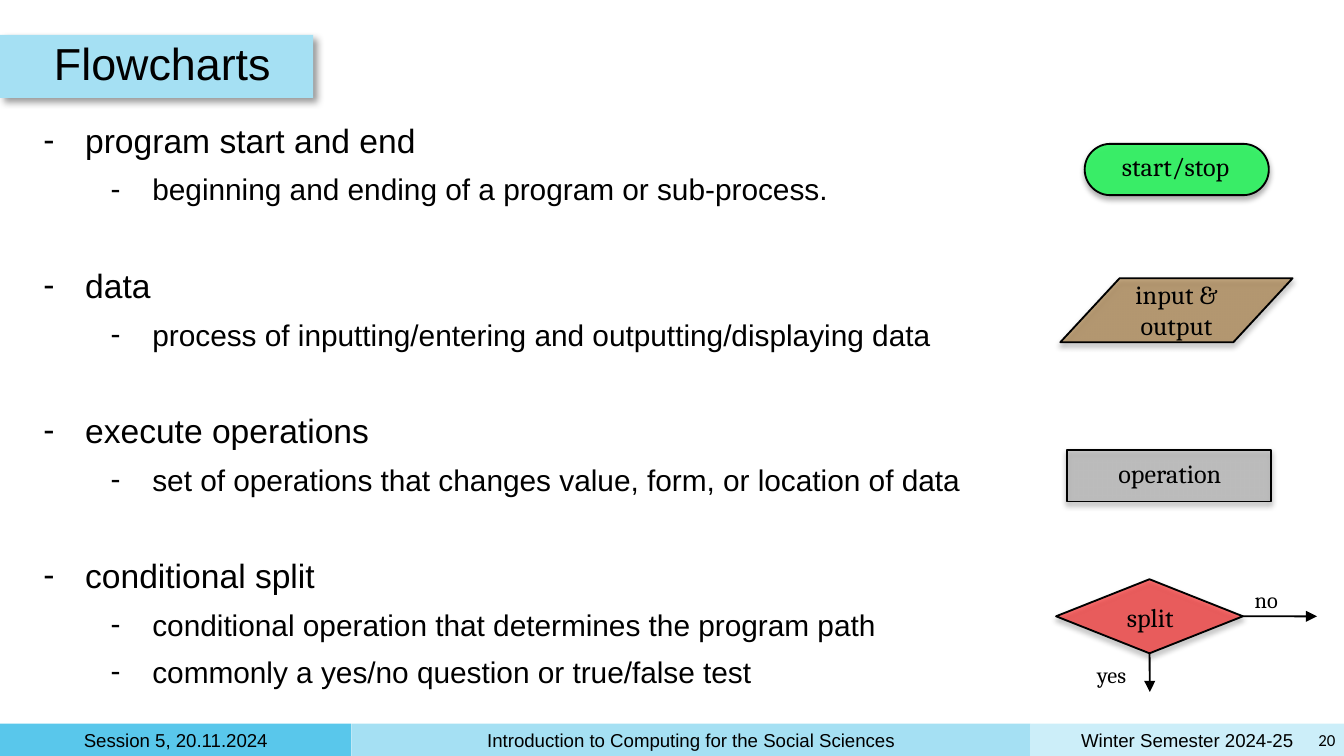
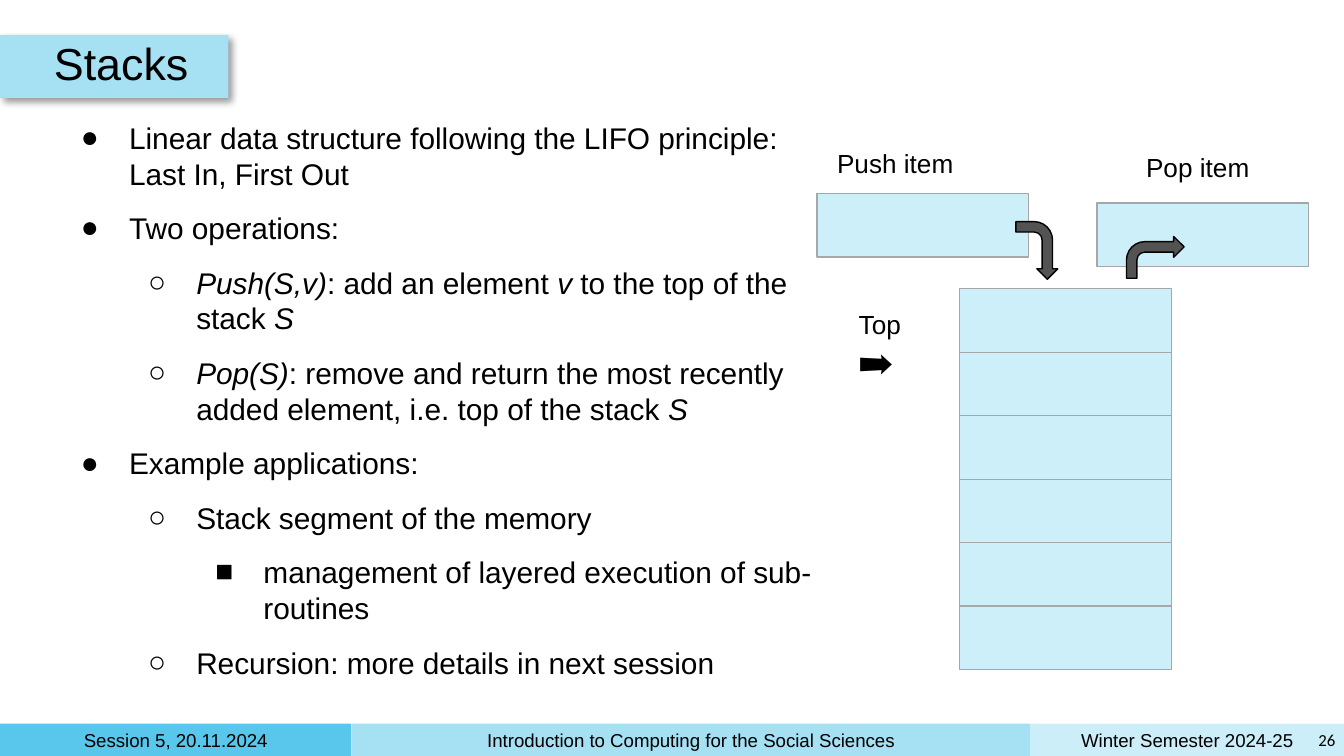
from collections import namedtuple

from lxml import etree
from pptx import Presentation
from pptx import util as u
from pptx.dml.color import RGBColor
from pptx.enum import shapes, text
from pptx.oxml import ns

Box = namedtuple("Box", "left top width height")
Shadow = namedtuple("Shadow", "alpha blur distance angle")

BLACK, DARK_BLUE, MID_BLUE, PALE_BLUE = "000000", "59C7EB", "A5E0F3", "CCEEF9"
CELL_FILL, CELL_LINE, ARROW_FILL = "CDEFF9", "A7A7A7", "535353"
BAND_SHADOW = Shadow(40, 4, 3, 45)
SYMBOL_SHADOW = Shadow(35, 3, 1.8, 90)
SLIDE_WIDTH, SLIDE_HEIGHT = 25.4, 14.29
LEFT, CENTER, RIGHT = text.PP_ALIGN.LEFT, text.PP_ALIGN.CENTER, text.PP_ALIGN.RIGHT
TOP, MIDDLE = text.MSO_ANCHOR.TOP, text.MSO_ANCHOR.MIDDLE
FORMS = shapes.MSO_SHAPE


def color(value):
    return RGBColor.from_string(value)


def lengths(box):
    return [u.Cm(value) for value in box]


def inside(region, left, top, width, height):
    return Box(region.left + left, region.top + top, width, height)


def add_xml(parent, tag, **attributes):
    return etree.SubElement(parent, ns.qn(tag), {key: str(value) for key, value in attributes.items()})


def set_font(font, size, name="Arial"):
    font.size = u.Pt(size)
    font.name = name
    font.color.rgb = color(BLACK)


def set_frame(frame, inset=0.13, anchor=TOP):
    frame.word_wrap = True
    frame.auto_size = text.MSO_AUTO_SIZE.NONE
    frame.vertical_anchor = anchor
    frame.margin_left = frame.margin_right = u.Cm(inset)
    frame.margin_top = frame.margin_bottom = u.Cm(inset)


def write(frame, words, size, name="Arial", align=CENTER, inset=0.13, anchor=TOP):
    set_frame(frame, inset, anchor)
    para = frame.paragraphs[0]
    para.text = words
    para.alignment = align
    set_font(para.font, size, name)
    return para


def add_label(page, box, words, size, **style):
    label = page.shapes.add_textbox(*lengths(box))
    return write(label.text_frame, words, size, **style)


def paint(shape, fill, line=None, line_width=1, alpha=100, shadow=None):
    shape.shadow.inherit = False
    shape.fill.solid()
    shape.fill.fore_color.rgb = color(fill)
    if alpha < 100:
        tint = shape.element.spPr.find(".//" + ns.qn("a:srgbClr"))
        add_xml(tint, "a:alpha", val=alpha * 1000)
    if line:
        shape.line.color.rgb = color(line)
        shape.line.width = u.Pt(line_width)
    else:
        shape.line.fill.background()
    if shadow:
        effects = shape.element.spPr.find(ns.qn("a:effectLst"))
        outer = add_xml(effects, "a:outerShdw", blurRad=int(u.Pt(shadow.blur)),
                        dist=int(u.Pt(shadow.distance)), dir=shadow.angle * 60000,
                        algn="bl", rotWithShape=0)
        add_xml(add_xml(outer, "a:srgbClr", val=BLACK), "a:alpha", val=shadow.alpha * 1000)
    return shape


def add_form(page, form, box, fill, **style):
    return paint(page.shapes.add_shape(form, *lengths(box)), fill, **style)


def add_footer(page, box, number):
    parts = [
        (0, 6.64, DARK_BLUE, "Session 5, 20.11.2024"),
        (6.64, 12.83, MID_BLUE, "Introduction to Computing for the Social Sciences"),
        (19.47, 5.93, PALE_BLUE, "Winter Semester 2024-25"),
    ]
    for left, width, fill, words in parts:
        part = add_form(page, FORMS.RECTANGLE, inside(box, left, 0, width, box.height), fill)
        write(part.text_frame, words, 10, anchor=MIDDLE)
    add_label(page, inside(box, 24.77, 0, 0.6, box.height), str(number), 9,
              name="Calibri", align=RIGHT, anchor=MIDDLE)


def add_title(page, box, words, band_width):
    add_form(page, FORMS.RECTANGLE, box._replace(width=band_width), MID_BLUE, shadow=BAND_SHADOW)
    title = page.shapes.title
    title.left, title.top, title.width, title.height = lengths(
        inside(box, 0.89, 0, 21.84, box.height))
    para = write(title.text_frame, words, 24, align=LEFT, anchor=MIDDLE)
    para.line_spacing = 0.9
    title.element.getparent().append(title.element)


def start_page(deck, words, band_width, number):
    page = deck.slides.add_slide(deck.slide_layouts[5])
    add_footer(page, Box(0, 13.68, SLIDE_WIDTH, 0.61), number)
    add_title(page, Box(0, 0.66, SLIDE_WIDTH, 1.19), words, band_width)
    return page


def add_bullet(para, mark, level, indent, hanging):
    para.level = level
    props = para._p.get_or_add_pPr()
    props.set("marL", str(int(u.Cm(indent))))
    props.set("indent", str(-int(u.Cm(hanging))))
    add_xml(add_xml(props, "a:buClr"), "a:srgbClr", val=BLACK)
    add_xml(props, "a:buFont", typeface="Arial")
    add_xml(props, "a:buChar", char=mark)


def add_list(page, box, items, marks, first_indent, hanging, sizes, gaps):
    frame = page.shapes.add_textbox(*lengths(box)).text_frame
    set_frame(frame)
    for index, (level, words) in enumerate(items):
        para = frame.paragraphs[0] if index == 0 else frame.add_paragraph()
        add_bullet(para, marks[level], level, first_indent + 1.27 * level, hanging)
        if index:
            para.space_before = u.Pt(gaps[level])
        set_font(para.font, sizes[level])
        for position, piece in enumerate(words.split("*")):
            if piece:
                span = para.add_run()
                span.text = piece
                if position % 2:
                    span.font.italic = True


def add_parallelogram(page, box, slant, fill, **style):
    right, bottom = box.left + box.width, box.top + box.height
    corners = [(box.left + slant, box.top), (right, box.top), (right - slant, bottom)]
    builder = page.shapes.build_freeform(u.Cm(box.left), u.Cm(bottom), scale=1.0)
    builder.add_line_segments([(u.Cm(x), u.Cm(y)) for x, y in corners], close=True)
    return paint(builder.convert_to_shape(), fill, **style)


def add_branch(page, symbol, site, end_x, end_y):
    branch = page.shapes.add_connector(
        shapes.MSO_CONNECTOR.STRAIGHT, 0, 0, u.Cm(end_x), u.Cm(end_y))
    branch.begin_connect(symbol, site)
    branch.line.color.rgb = color(BLACK)
    branch.line.width = u.Pt(1)
    add_xml(branch.line._get_or_add_ln(), "a:tailEnd", type="triangle")
    add_xml(branch.element.spPr, "a:effectLst")


def add_symbols(page, box):
    outline = dict(line=BLACK, shadow=SYMBOL_SHADOW)
    terminal = add_form(page, FORMS.ROUNDED_RECTANGLE, inside(box, 0.54, 0, 3.48, 0.97),
                        "2DF460", alpha=90, **outline)
    terminal.adjustments[0] = 0.5
    add_parallelogram(page, inside(box, 0.08, 2.54, 4.39, 1.21), 1.12,
                      "945C0F", alpha=50, **outline)
    add_form(page, FORMS.RECTANGLE, inside(box, 0.21, 5.79, 3.86, 0.97),
             "A6A6A6", alpha=50, **outline)
    split = add_form(page, FORMS.DIAMOND, inside(box, 0, 8.23, 3.53, 1.4),
                     "FF0000", alpha=55, **outline)
    add_branch(page, split, 3, box.left + box.width, box.top + 8.93)
    add_branch(page, split, 2, box.left + 1.77, box.top + box.height)
    labels = [
        ("start/stop", 14, 0.66, 0, 3.2, 0.66),
        ("input & output", 14, 1.02, 2.41, 2.51, 1.09),
        ("operation", 14, 0.41, 5.79, 3.48, 0.58),
        ("split", 14, 0.84, 8.51, 1.88, 0.61),
        ("yes", 12, 0.11, 9.65, 1.88, 0.61),
        ("no", 12, 3.03, 8.23, 1.88, 0.61),
    ]
    for words, size, *place in labels:
        add_label(page, inside(box, *place), words, size, name="Cambria")


def add_stack(page, box, count=6):
    width, height = 4, 1.2
    cells = [(2.7, 2.92 + row * height) for row in reversed(range(count))]
    for left, top in cells + [(0, 1.12), (5.29, 1.3)]:
        add_form(page, FORMS.RECTANGLE, inside(box, left, top, width, height),
                 CELL_FILL, line=CELL_LINE, line_width=0.75)
    style = dict(align=LEFT, inset=0.25)
    top_label = add_label(page, inside(box, 0.54, 2.9, 2.13, 1.27), "Top", 14, **style)
    pointer = top_label.add_run()
    pointer.text = " ➡"
    pointer.font.size = u.Pt(18)
    add_label(page, inside(box, 0.13, 0, 3, 1.12), "Push item", 14, **style)
    add_label(page, inside(box, 5.97, 0.08, 3, 1.12), "Pop item", 14, **style)
    for left, top, rotation in [(3.61, 1.8, 90), (5.85, 1.93, 0)]:
        arrow = add_form(page, FORMS.BENT_ARROW, inside(box, left, top, 1.09, 0.79),
                         ARROW_FILL, line=BLACK, line_width=0.75)
        arrow.rotation = rotation
        arrow.adjustments[3] = 0.44


def flowcharts_page(deck):
    page = start_page(deck, "Flowcharts", 5.92, 20)
    items = [
        (0, "program start and end"),
        (1, "beginning and ending of a program or sub-process."),
        (0, "data"),
        (1, "process of inputting/entering and outputting/displaying data"),
        (0, "execute operations"),
        (1, "set of operations that changes value, form, or location of data"),
        (0, "conditional split"),
        (1, "conditional operation that determines the program path"),
        (1, "commonly a yes/no question or true/false test"),
    ]
    add_list(page, Box(0.69, 2.13, 23.34, 11.15), items, marks="--", first_indent=0.79,
             hanging=0.79, sizes=(18, 16), gaps=(31, 6))
    add_symbols(page, Box(19.96, 2.72, 4.93, 10.36))


def stacks_page(deck):
    page = start_page(deck, "Stacks", 4.32, 26)
    items = [
        (0, "Linear data structure following the LIFO principle: Last In, First Out"),
        (0, "Two operations:"),
        (1, "*Push(S,v)*: add an element *v *to the top of the stack *S*"),
        (1, "*Pop(S)*: remove and return the most recently added element, "
            "i.e. top of the stack *S*"),
        (0, "Example applications:"),
        (1, "Stack segment of the memory"),
        (2, "management of layered execution of sub-routines"),
        (1, "Recursion: more details in next session"),
    ]
    add_list(page, Box(1.04, 2.13, 14.68, 10.95), items, marks="●○■", first_indent=1.27,
             hanging=0.91, sizes=(16, 16, 16), gaps=(10, 10, 10))
    add_stack(page, Box(15.44, 2.54, 9.29, 10.12))


def main():
    deck = Presentation()
    deck.slide_width, deck.slide_height = u.Cm(SLIDE_WIDTH), u.Cm(SLIDE_HEIGHT)
    flowcharts_page(deck)
    stacks_page(deck)
    deck.save("out.pptx")


if __name__ == "__main__":
    main()
